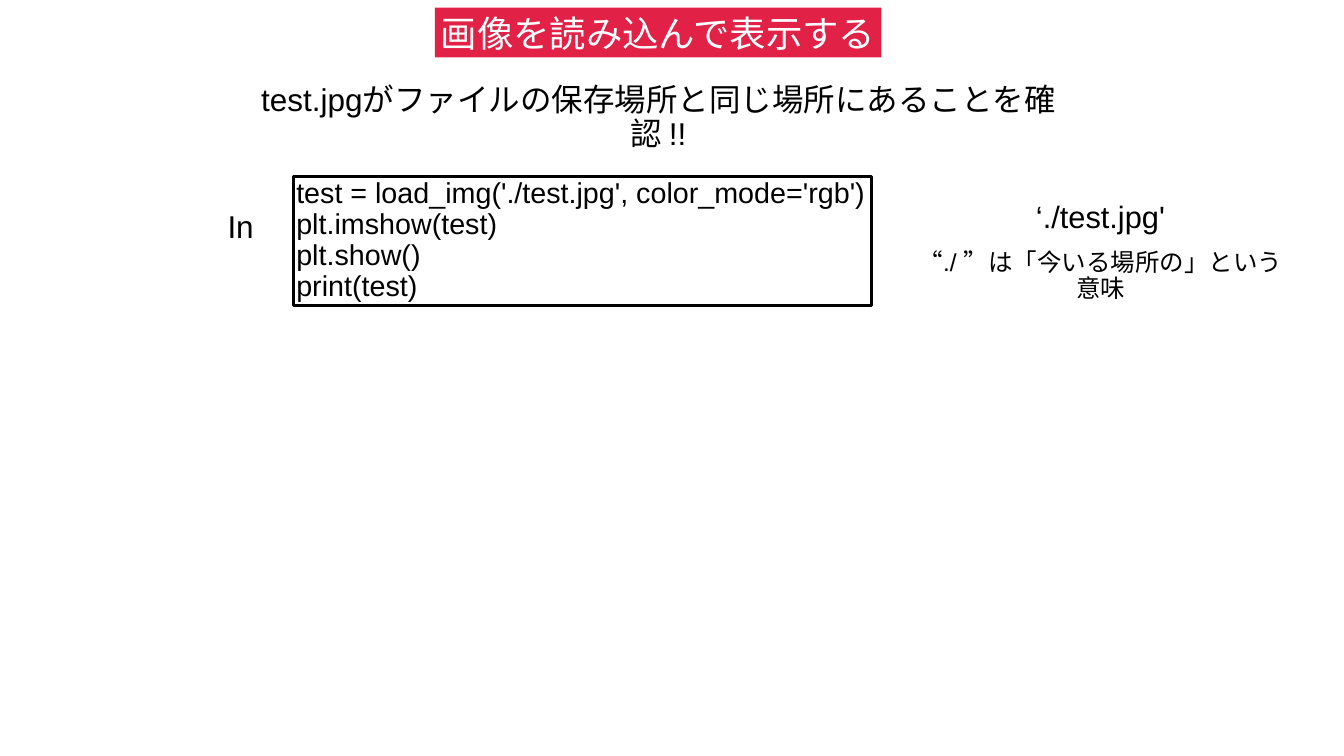
from dataclasses import dataclass

from pptx import Presentation
from pptx.dml.color import RGBColor
from pptx.enum.shapes import MSO_SHAPE
from pptx.enum.text import MSO_ANCHOR, MSO_AUTO_SIZE, PP_ALIGN
from pptx.util import Inches, Pt

RECT = MSO_SHAPE.RECTANGLE
MIDDLE = MSO_ANCHOR.MIDDLE
GROW = MSO_AUTO_SIZE.SHAPE_TO_FIT_TEXT
LEFT, CENTER = PP_ALIGN.LEFT, PP_ALIGN.CENTER
WIDE, HIGH = Inches(26.67), Inches(15)
COLS, ROWS = 26.67, 15
TITLE_ONLY = 5


@dataclass(frozen=True)
class Theme:
    font: str = "Arial"
    red: RGBColor = RGBColor(0xE2, 0x21, 0x46)
    white: RGBColor = RGBColor(0xFF, 0xFF, 0xFF)
    black: RGBColor = RGBColor(0, 0, 0)
    title: int = 52
    lead: int = 45
    file: int = 44
    code: int = 41
    note: int = 35
    edge: int = 4
    pad: float = 0.06
    pitch: float = 0.9


THEME = Theme()


def grid(col, row, cols, rows):
    return (int(WIDE * col / COLS), int(HIGH * row / ROWS),
            int(WIDE * cols / COLS), int(HIGH * rows / ROWS))


def apply(item, values):
    for name, value in values.items():
        setattr(item, name, value)


def write(shape, lines, size, color=THEME.black, align=CENTER, pitch=THEME.pitch):
    frame = shape.text_frame
    frame.text = "\n".join(lines)
    pad = Inches(THEME.pad)
    apply(frame, {
        "margin_left": pad, "margin_right": pad,
        "margin_top": pad, "margin_bottom": pad,
        "vertical_anchor": MIDDLE, "word_wrap": False, "auto_size": GROW,
    })
    for para in frame.paragraphs:
        apply(para, {"alignment": align, "line_spacing": pitch})
        for run in para.runs:
            apply(run.font, {"name": THEME.font, "size": Pt(size)})
            run.font.color.rgb = color


def add_title(slide, area, text):
    title = slide.shapes.title
    apply(title, dict(zip(("left", "top", "width", "height"), area)))
    title.fill.solid()
    title.fill.fore_color.rgb = THEME.red
    write(title, [text], THEME.title, THEME.white, pitch=1.0)


def add_label(slide, area, text, size):
    write(slide.shapes.add_textbox(*area), [text], size)


def add_code(slide, area, lines):
    box = slide.shapes.add_shape(RECT, *area)
    box.shadow.inherit = False
    box.fill.background()
    box.line.color.rgb = THEME.black
    box.line.width = Pt(THEME.edge)
    write(box, lines, THEME.code, align=LEFT)


def main():
    deck = Presentation()
    apply(deck, {"slide_width": WIDE, "slide_height": HIGH})
    slide = deck.slides.add_slide(deck.slide_layouts[TITLE_ONLY])
    add_title(slide, grid(8.63, 0.15, 8.86, 0.99), "画像を読み込んで表示する")
    add_label(slide, grid(4.57, 1.94, 16.99, 0.81),
              "test.jpgがファイルの保存場所と同じ場所にあることを確認 !!", THEME.lead)
    add_code(slide, grid(5.82, 3.5, 11.47, 2.57), [
        "test = load_img('./test.jpg', color_mode='rgb')",
        "plt.imshow(test)",
        "plt.show()",
        "print(test)",
    ])
    add_label(slide, grid(4.45, 4.13, 0.65, 0.81), "In", THEME.lead)
    add_label(slide, grid(20.49, 3.95, 2.7, 0.78), "‘./test.jpg'", THEME.file)
    add_label(slide, grid(18.01, 5.16, 7.66, 0.65),
              "“./ ”は「今いる場所の」という意味", THEME.note)
    deck.save("out.pptx")


if __name__ == "__main__":
    main()
